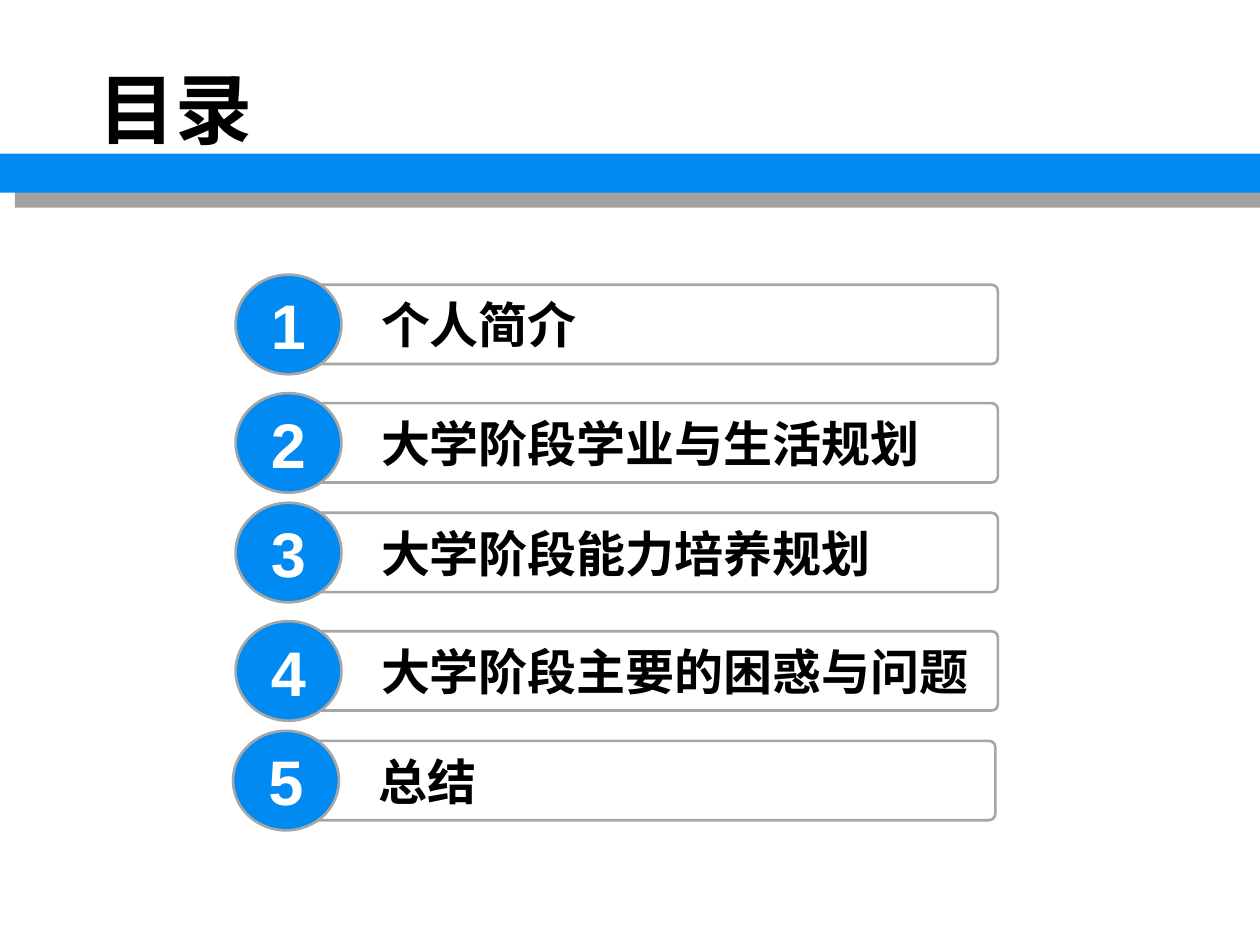
"""Build a contents slide with five numbered entries under a title bar."""
from lxml import etree
from pptx import Presentation
from pptx import util as u
from pptx.dml.color import RGBColor
from pptx.enum import shapes, text
from pptx.oxml import ns

COLORS = {"blue": "008AF2", "gray": "A6A6A6", "white": "FFFFFF", "black": "000000"}
CJK = "Noto Sans CJK SC"


def write(shape, wording, size, font, color, align):
    frame = shape.text_frame
    frame.text = wording
    para = frame.paragraphs[0]
    para.alignment = align
    span = para.runs[0]
    span.font.size = u.Pt(size)
    span.font.bold = True
    span.font.name = font
    span.font.color.rgb = RGBColor.from_string(COLORS[color])
    east_asian = etree.SubElement(span.font._element, ns.qn("a:ea"))
    east_asian.set("typeface", font)


def add_filled(parent, kind, left, top, width, height, fill, line=None):
    shape = parent.add_shape(kind, *map(u.Inches, (left, top, width, height)))
    shape.shadow.inherit = False
    shape.fill.solid()
    shape.fill.fore_color.rgb = RGBColor.from_string(COLORS[fill])
    if line:
        shape.line.color.rgb = RGBColor.from_string(COLORS[line])
        shape.line.width = u.Pt(1.5)
    else:
        shape.line.fill.background()
    return shape


deck = Presentation()
deck.slide_width = u.Inches(10)
deck.slide_height = u.Inches(7.5)
page = deck.slides.add_slide(deck.slide_layouts[6])

title = page.shapes.add_textbox(u.Inches(0.68), u.Inches(0.44), u.Inches(1.42), u.Inches(0.84))
title.text_frame.word_wrap = False
write(title, "目录", 44, CJK, "black", text.PP_ALIGN.CENTER)

bar = add_filled(page.shapes, shapes.MSO_SHAPE.RECTANGLE, 0, 1.22, 10, 0.31, "blue")
effects = bar._element.spPr.find(ns.qn("a:effectLst"))
shadow = etree.SubElement(effects, ns.qn("a:outerShdw"), blurRad="0",
                          dist=str(u.Pt(12.1)), dir="2700000", algn="ctr", rotWithShape="0")
shade = etree.SubElement(shadow, ns.qn("a:srgbClr"), val=COLORS["black"])
etree.SubElement(shade, ns.qn("a:alpha"), val="36000")

entries = [
    ("个人简介", 1.87, 2.18),
    ("大学阶段学业与生活规划", 1.87, 3.12),
    ("大学阶段能力培养规划", 1.87, 3.99),
    ("大学阶段主要的困惑与问题", 1.87, 4.93),
    ("总结", 1.85, 5.8),
]
for number, (wording, left, top) in enumerate(entries, 1):
    entry = page.shapes.add_group_shape()
    box = add_filled(entry.shapes, shapes.MSO_SHAPE.ROUNDED_RECTANGLE,
                     left + 0.42, top + 0.08, 5.63, 0.63, "white", "gray")
    box.adjustments[0] = 0.08
    box.text_frame.margin_left = u.Inches(0.72)
    box.text_frame.word_wrap = True
    box.text_frame.vertical_anchor = text.MSO_ANCHOR.MIDDLE
    write(box, wording, 28, CJK, "black", text.PP_ALIGN.LEFT)

    badge = add_filled(entry.shapes, shapes.MSO_SHAPE.OVAL,
                       left, top, 0.84, 0.79, "blue", "gray")
    badge.text_frame.word_wrap = False
    badge.text_frame.vertical_anchor = text.MSO_ANCHOR.MIDDLE
    write(badge, str(number), 36, "Arial", "white", text.PP_ALIGN.CENTER)

deck.save("out.pptx")
